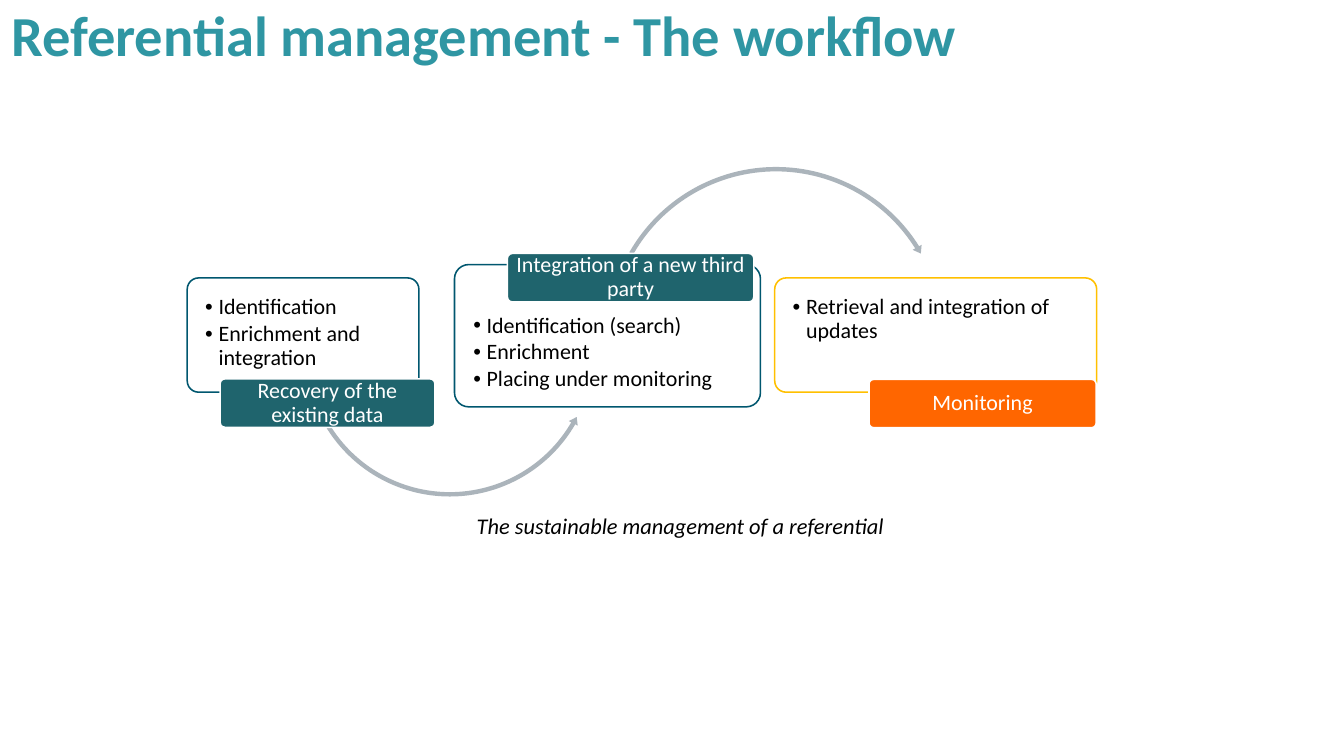
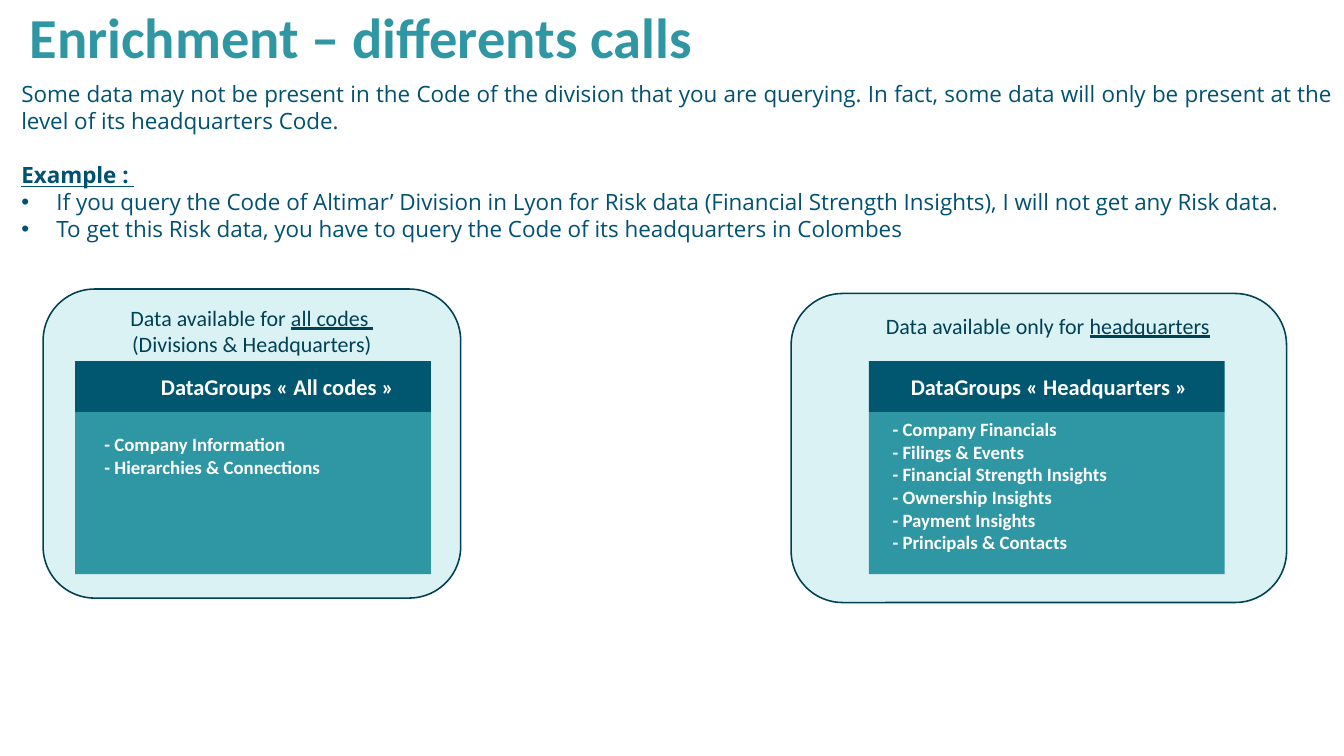
from lxml import etree
from pptx import Presentation
from pptx.dml.color import RGBColor
from pptx.enum import shapes as kinds
from pptx.enum import text as tx
from pptx.oxml import ns
from pptx.util import Cm, Pt

TEAL = RGBColor(0x2F, 0x96, 0xA3)
DARK_TEAL = RGBColor(0x1F, 0x64, 0x6D)
PETROL = RGBColor(0x00, 0x57, 0x6F)
NAVY = RGBColor(0x00, 0x51, 0x72)
INK = RGBColor(0x00, 0x41, 0x53)
OUTLINE = RGBColor(0x00, 0x40, 0x52)
PALE = RGBColor(0xDB, 0xF2, 0xF5)
GOLD = RGBColor(0xFF, 0xC0, 0x00)
ORANGE = RGBColor(0xFF, 0x66, 0x00)
GREY = RGBColor(0xAB, 0xB4, 0xBB)
WHITE = RGBColor(0xFF, 0xFF, 0xFF)
BLACK = RGBColor(0x00, 0x00, 0x00)

ROUND = kinds.MSO_SHAPE.ROUNDED_RECTANGLE
RECT = kinds.MSO_SHAPE.RECTANGLE
TOP, MIDDLE = tx.MSO_ANCHOR.TOP, tx.MSO_ANCHOR.MIDDLE
LEFT, CENTER = tx.PP_ALIGN.LEFT, tx.PP_ALIGN.CENTER


def add_block(slide, preset, box, fill, line=None, lines=(), size=14, color=WHITE,
              bold=False, insets=(0, 0, 0, 0), align=LEFT, anchor=TOP):
    """Add a filled shape with one paragraph per line; lengths are in cm."""
    block = slide.shapes.add_shape(preset, *map(Cm, box))
    block.shadow.inherit = False
    block.fill.solid()
    block.fill.fore_color.rgb = fill
    if line is None:
        block.line.fill.background()
    else:
        block.line.color.rgb = line
        block.line.width = Pt(1)
    frame = block.text_frame
    frame.word_wrap = True
    frame.vertical_anchor = anchor
    frame.margin_left, frame.margin_top, frame.margin_right, frame.margin_bottom = map(Cm, insets)
    frame.text = "\n".join(lines)
    for paragraph in frame.paragraphs:
        paragraph.alignment = align
        for run in paragraph.runs:
            run.font.name, run.font.size, run.font.bold = "Calibri", Pt(size), bold
            run.font.color.rgb = color
    return block


def add_bullet(paragraph, indent):
    props = paragraph._p.get_or_add_pPr()
    props.set("marL", str(Cm(indent)))
    props.set("indent", str(-Cm(indent)))
    etree.SubElement(props, ns.qn("a:buFont")).set("typeface", "Arial")
    etree.SubElement(props, ns.qn("a:buChar")).set("char", "•")


prs = Presentation()
prs.slide_width, prs.slide_height = Cm(30.22), Cm(17)

slides = []
for heading, left, top, width in [
    ("Referential management - The workflow", 0, 0, 29.67),
    ("Enrichment – differents calls", 0.41, 0.05, 28.7),
]:
    slide = prs.slides.add_slide(prs.slide_layouts[5])
    title = slide.shapes.title
    title.left, title.top, title.width, title.height = Cm(left), Cm(top), Cm(width), Cm(1.73)
    title.text_frame.text = heading
    title.text_frame.vertical_anchor = MIDDLE
    title.text_frame.auto_size = tx.MSO_AUTO_SIZE.NONE
    paragraph = title.text_frame.paragraphs[0]
    paragraph.alignment = LEFT
    paragraph.line_spacing = 0.9
    font = paragraph.runs[0].font
    font.name, font.size, font.bold = "Calibri", Pt(36), True
    font.color.rgb = TEAL
    slides.append(slide)
workflow, enrichment = slides

# Workflow: each stage is a card, an arrow to the next stage and a tag
stages = [
    ((4.21, 6.25, 5.21, 2.57), PETROL, 0.33, ["Identification", "Enrichment and integration"],
     (4.95, 8.52, 4.83, 1.09), DARK_TEAL, "Recovery of the existing data",
     (kinds.MSO_SHAPE.LEFT_CIRCULAR_ARROW, (6.79, 4.58, 6.65, 6.65),
      (0.015, 1.735, 18.124, 88.879, 0.017))),
    ((10.22, 5.95, 6.88, 3.2), PETROL, 1.02,
     ["Identification (search)", "Enrichment", "Placing under monitoring"],
     (11.41, 5.7, 5.54, 1.09), DARK_TEAL, "Integration of a new third party",
     (kinds.MSO_SHAPE.CIRCULAR_ARROW, (13.59, 3.69, 7.72, 7.72),
      (0.013, 1.491, 196.766, 125.767, 0.015))),
    ((17.42, 6.25, 7.24, 2.57), GOLD, 0.33, ["Retrieval and integration of updates"],
     (19.54, 8.53, 5.11, 1.09), ORANGE, "Monitoring", None),
]
for card_box, border, top_inset, steps, tag_box, tag_fill, tag_text, arrow_parts in stages:
    card = add_block(workflow, ROUND, card_box, WHITE, border, steps, color=BLACK,
                     insets=(0.33, top_inset, 0.33, 0))
    card.adjustments[0] = 0.1
    for paragraph in card.text_frame.paragraphs:
        add_bullet(paragraph, 0.3)
        paragraph.line_spacing = 0.9
        paragraph.space_after = Pt(2)
    if arrow_parts:
        preset, arrow_box, angles = arrow_parts
        arrow = add_block(workflow, preset, arrow_box, GREY)
        for i, angle in enumerate(angles):
            arrow.adjustments[i] = angle
    tag = add_block(workflow, ROUND, tag_box, tag_fill, WHITE, [tag_text],
                    insets=(0.07, 0.05, 0.07, 0.05), align=CENTER, anchor=MIDDLE)
    tag.adjustments[0] = 0.1
    tag.text_frame.paragraphs[0].line_spacing = 0.9

caption = workflow.shapes.add_textbox(Cm(10.47), Cm(11.39), Cm(9.78), Cm(0.86))
caption.text_frame.text = "The sustainable management of a referential"
font = caption.text_frame.paragraphs[0].runs[0].font
font.name, font.size, font.italic = "Calibri", Pt(14.3), True
font.color.rgb = BLACK

# Enrichment: explanation above two panels
intro = enrichment.shapes.add_textbox(Cm(0.23), Cm(1.68), Cm(29.99), Cm(3.91)).text_frame
intro.word_wrap = True
intro.text = "\n".join([
    "Some data may not be present in the Code of the division that you are querying. "
    "In fact, some data will only be present at the level of its headquarters Code.",
    "Example : ",
    "If you query the Code of Altimar’ Division in Lyon for Risk data "
    "(Financial Strength Insights), I will not get any Risk data.",
    "To get this Risk data, you have to query the Code of its headquarters in Colombes",
])
for paragraph in intro.paragraphs:
    paragraph.alignment = tx.PP_ALIGN.JUSTIFY
    font = paragraph.runs[0].font
    font.name, font.size = "Open Sans", Pt(14.3)
    font.color.rgb = NAVY
example = intro.paragraphs[1]
example.space_before = Pt(17.5)
example.runs[0].font.bold = example.runs[0].font.underline = True
for paragraph in intro.paragraphs[2:]:
    add_bullet(paragraph, 0.79)

panels = [
    ((0.97, 6.5, 9.39, 6.95), (0, 0, 0, 0), "Data available for ", "all codes ",
     ["(Divisions & Headquarters)"],
     1.69, "DataGroups «\u00a0All codes »", 1.93, (0.66, 0.46, 0, 0),
     ["Company Information", "Hierarchies & Connections"]),
    ((17.79, 6.6, 11.14, 6.95), (0.4, 0.08, 0, 0), "Data available only for ", "headquarters", [],
     19.54, "DataGroups «\u00a0Headquarters\u00a0»", 0.94, (0.53, 0.13, 0, 0),
     ["Company Financials", "Filings & Events", "Financial Strength Insights",
      "Ownership Insights", "Payment Insights", "Principals & Contacts"]),
]
for (panel_box, panel_insets, lead, scope, detail,
     left, header, header_inset, list_insets, entries) in panels:
    panel = add_block(enrichment, ROUND, panel_box, PALE, OUTLINE, [lead, *detail],
                      color=INK, insets=panel_insets, align=CENTER)
    underlined = panel.text_frame.paragraphs[0].add_run()
    underlined.text = scope
    font = underlined.font
    font.name, font.size, font.underline = "Calibri", Pt(14), True
    font.color.rgb = INK
    add_block(enrichment, RECT, (left, 8.12, 8, 1.15), PETROL, lines=[header], size=14.3,
              bold=True, insets=(header_inset, 0, 0, 0), anchor=MIDDLE)
    add_block(enrichment, RECT, (left, 9.27, 8, 3.64), TEAL,
              lines=[f"- {entry}" for entry in entries], size=12, bold=True, insets=list_insets)

prs.save("out.pptx")
